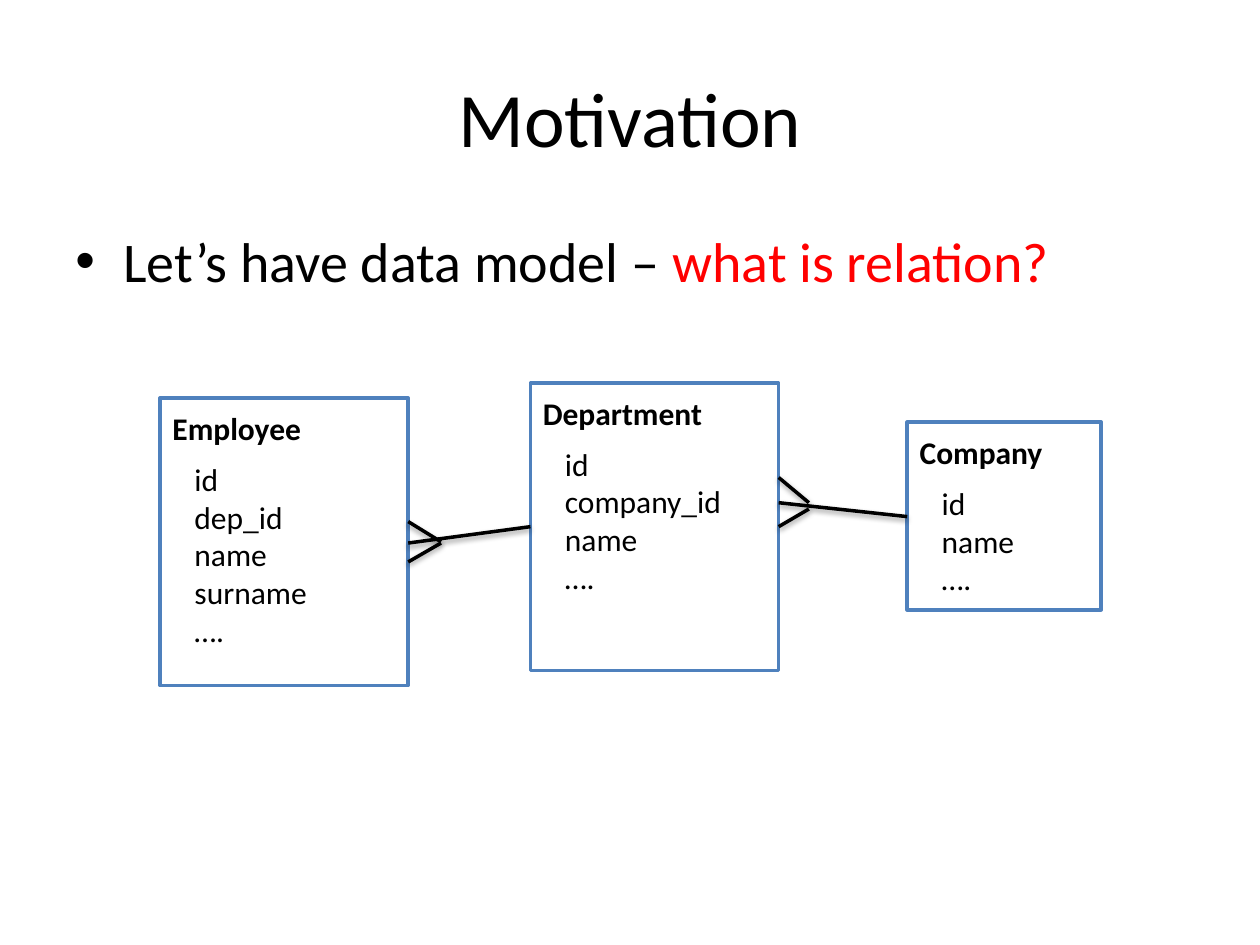
"""Builds a slide with a three-table data model joined by crow's-foot relations."""
from lxml import etree
from pptx import Presentation
from pptx.dml.color import RGBColor
from pptx.enum.shapes import MSO_CONNECTOR, MSO_SHAPE
from pptx.enum.text import MSO_ANCHOR, PP_ALIGN
from pptx.oxml import parse_xml
from pptx.util import Inches, Pt

BLACK = RGBColor(0x00, 0x00, 0x00)
WHITE = RGBColor(0xFF, 0xFF, 0xFF)
RED = RGBColor(0xFF, 0x00, 0x00)
BLUE = RGBColor(0x4F, 0x81, 0xBD)
LEFT, CENTER = PP_ALIGN.LEFT, PP_ALIGN.CENTER
TOP, MIDDLE = MSO_ANCHOR.TOP, MSO_ANCHOR.MIDDLE
RECT, STRAIGHT = MSO_SHAPE.RECTANGLE, MSO_CONNECTOR.STRAIGHT
NS = "http://schemas.openxmlformats.org/drawingml/2006/main"
SHADOW = (
    f'<a:effectLst xmlns:a="{NS}"><a:outerShdw blurRad="40000" dist="20000" '
    'dir="5400000" rotWithShape="0"><a:srgbClr val="000000">'
    '<a:alpha val="38000"/></a:srgbClr></a:outerShdw></a:effectLst>'
)

prs = Presentation()
prs.slide_width, prs.slide_height = Inches(10), Inches(7.5)
COL, ROW = prs.slide_width / 100, prs.slide_height / 75
s = prs.slides.add_slide(prs.slide_layouts[6])


def add_text(x, y, w, h, lines, size=18, bold=False, align=LEFT, anchor=TOP):
    sp = s.shapes.add_textbox(int(x * COL), int(y * ROW), int(w * COL), int(h * ROW))
    tf = sp.text_frame
    tf.word_wrap = True
    tf.vertical_anchor = anchor
    for i, runs in enumerate(lines):
        p = tf.paragraphs[0] if i == 0 else tf.add_paragraph()
        p.alignment = align
        for text, color in runs:
            r = p.add_run()
            r.text = text
            r.font.name, r.font.size, r.font.bold = "Calibri", Pt(size), bold
            r.font.color.rgb = color
    return tf


add_text(5, 3, 90, 12.5, [[("Motivation", BLACK)]], size=44, align=CENTER, anchor=MIDDLE)

question = [("Let’s have data model – ", BLACK), ("what is relation?", RED)]
p = add_text(5, 17.5, 90, 49.5, [question], size=32).paragraphs[0]
p.space_before = Pt(6.4)
pPr = p._p.get_or_add_pPr()
pPr.set("marL", str(Inches(0.38)))
pPr.set("indent", str(-Inches(0.38)))
etree.SubElement(pPr, f"{{{NS}}}buFont").set("typeface", "Arial")
etree.SubElement(pPr, f"{{{NS}}}buChar").set("char", "•")

tables = [
    ("Employee", 12.7, 31.6, 19.7, 22.8, ["id", "dep_id", "name", "surname", "…."]),
    ("Company", 72, 33.5, 15.4, 14.9, ["id", "name", "…."]),
    ("Department", 42.1, 30.4, 19.7, 22.8, ["id", "company_id", "name", "…."]),
]
for name, x, y, w, h, fields in tables:
    sp = s.shapes.add_shape(RECT, int(x * COL), int(y * ROW), int(w * COL), int(h * ROW))
    sp.shadow.inherit = False
    sp.fill.solid()
    sp.fill.fore_color.rgb = WHITE
    sp.line.color.rgb = BLUE
    sp.line.width = Pt(2)
    add_text(x, y + 0.4, 16.5, 4, [[(name, BLACK)]], bold=True)
    add_text(x + 1.75, y + 4.4, 16.2, 1 + 3 * len(fields), [[(f, BLACK)] for f in fields])

relations = [
    (42.1, 41.8, 32.4, 43.1),
    (35, 43, 32.4, 41.4),
    (35, 43.1, 32.4, 44.6),
    (72, 41, 61.8, 39.9),
    (64.2, 39.9, 61.8, 37.9),
    (64.2, 40.4, 61.8, 41.8),
]
for x1, y1, x2, y2 in relations:
    line = s.shapes.add_connector(
        STRAIGHT, int(x1 * COL), int(y1 * ROW), int(x2 * COL), int(y2 * ROW))
    line.line.color.rgb = BLACK
    line.line.width = Pt(2)
    line._element.spPr.append(parse_xml(SHADOW))

prs.save("out.pptx")
